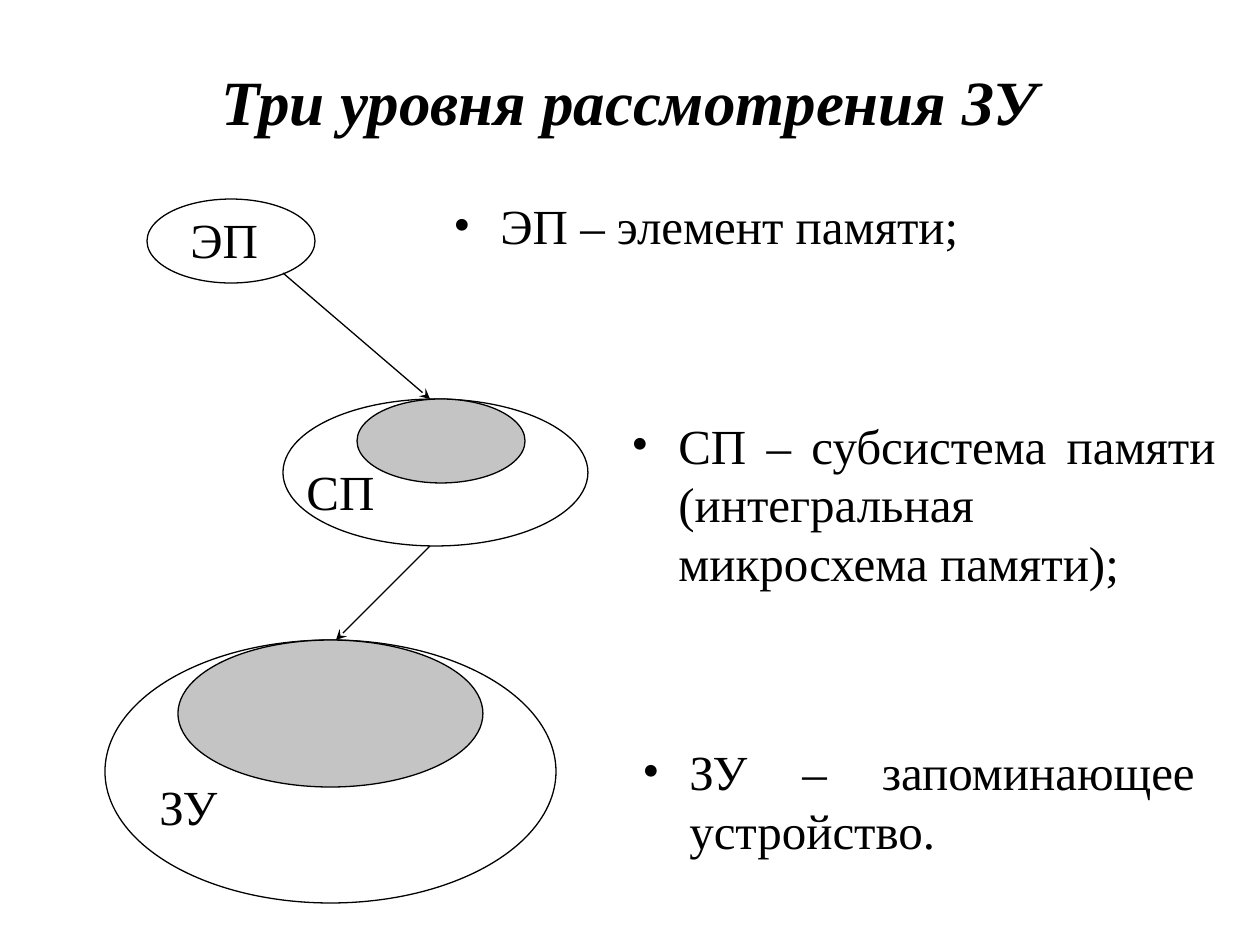
from lxml.etree import SubElement
from pptx import Presentation
from pptx.dml.color import RGBColor
from pptx.enum.shapes import MSO_CONNECTOR, MSO_SHAPE
from pptx.enum.text import MSO_ANCHOR, PP_ALIGN
from pptx.oxml.ns import qn
from pptx.util import Pt

PX = 914400 / 126
FONT = "Times New Roman"
BLACK = RGBColor(0, 0, 0)
GREY = RGBColor(0xC4, 0xC4, 0xC4)


def emu(*nums):
    return [round(n * PX) for n in nums]


def write(box, text, size, align):
    shape = slide.shapes.add_textbox(*emu(*box))
    frame = shape.text_frame
    frame.word_wrap = True
    par = frame.paragraphs[0]
    par.alignment = align
    run = par.add_run()
    run.text = text
    run.font.name = FONT
    run.font.size = Pt(size)
    run.font.color.rgb = BLACK
    return frame, par, run


deck = Presentation()
deck.slide_width, deck.slide_height = emu(1260, 945)
slide = deck.slides.add_slide(deck.slide_layouts[6])

# Title
frame, par, run = write((94, 42, 1071, 116), "Три уровня рассмотрения ЗУ", 36, PP_ALIGN.CENTER)
frame.vertical_anchor = MSO_ANCHOR.MIDDLE
run.font.bold = run.font.italic = True

# Nested levels: each grey oval is the level before it
ovals = [
    ((147, 199, 168, 84), None),
    ((283, 399, 305, 147), None),
    ((357, 399, 168, 84), GREY),
    ((105, 640, 451, 263), None),
    ((178, 640, 305, 147), GREY),
]
for box, fill in ovals:
    oval = slide.shapes.add_shape(MSO_SHAPE.OVAL, *emu(*box))
    oval.shadow.inherit = False
    oval.line.color.rgb = BLACK
    oval.line.width = Pt(0.75)
    if fill is None:
        oval.fill.background()
    else:
        oval.fill.solid()
        oval.fill.fore_color.rgb = fill

# Level labels
for left, top, text in [(178, 210, "ЭП"), (294, 462, "СП"), (147, 777, "ЗУ")]:
    frame, par, run = write((left, top, 105, 73), text, 28, PP_ALIGN.JUSTIFY)
    par.line_spacing = 0.9

# Arrows between levels
for ends in [(283, 273, 430, 399), (430, 546, 336, 640)]:
    arrow = slide.shapes.add_connector(MSO_CONNECTOR.STRAIGHT, *emu(*ends))
    arrow.line.color.rgb = BLACK
    arrow.line.width = Pt(0.75)
    SubElement(arrow.line._get_or_add_ln(), qn("a:tailEnd"), type="stealth")
    SubElement(arrow._element.spPr, qn("a:effectLst"))

# Bulleted definitions
notes = [
    ((441, 189, 788, 94), "ЭП – элемент памяти;"),
    ((619, 409, 609, 242), "СП – субсистема памяти (интегральная микросхема памяти);"),
    ((630, 735, 577, 136), "ЗУ – запоминающее устройство."),
]
dent = emu(47)[0]
for box, text in notes:
    frame, par, run = write(box, text, 28, PP_ALIGN.JUSTIFY)
    props = par._p.get_or_add_pPr()
    props.set("marL", str(dent))
    props.set("indent", str(-dent))
    SubElement(props, qn("a:buFont"), typeface=FONT)
    SubElement(props, qn("a:buChar"), char="•")

deck.save("out.pptx")
